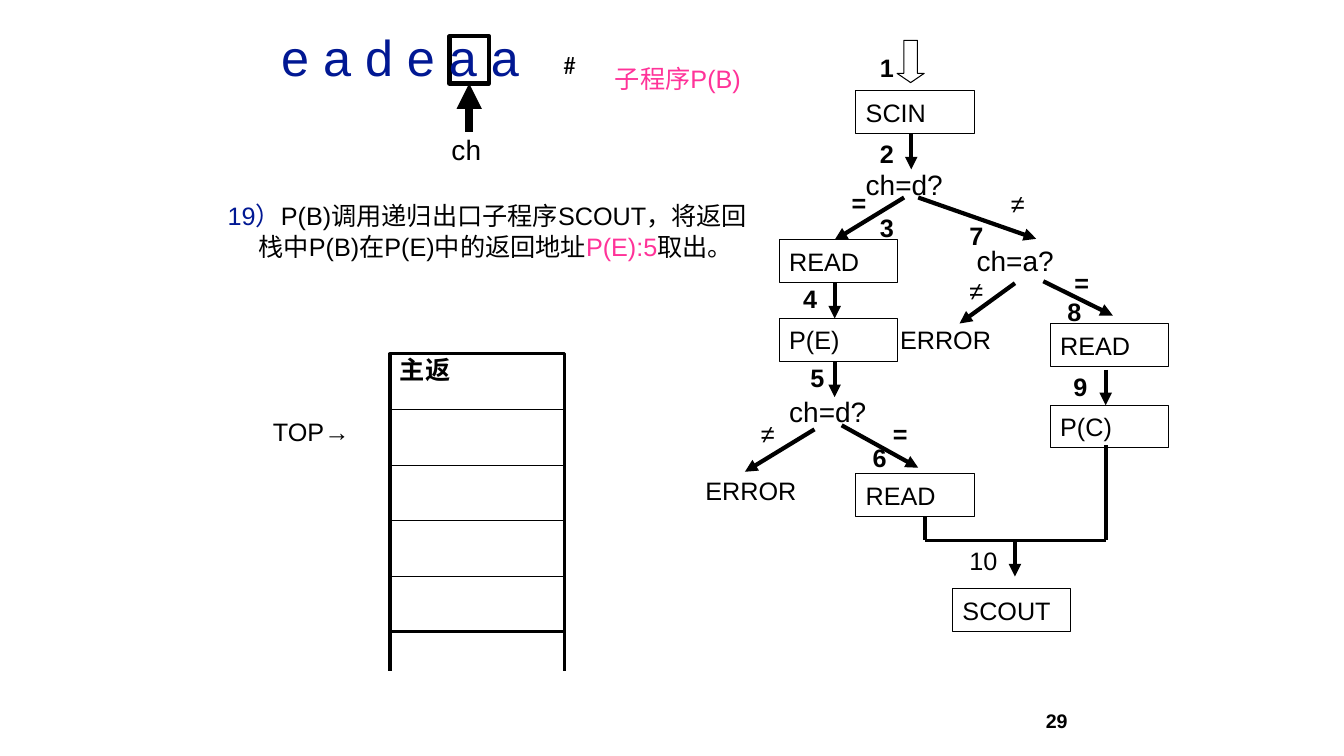
from lxml import etree
from pptx import Presentation
from pptx.dml.color import RGBColor
from pptx.enum.shapes import MSO_CONNECTOR, MSO_SHAPE
from pptx.enum.text import MSO_ANCHOR, MSO_AUTO_SIZE, PP_ALIGN
from pptx.oxml.ns import qn
from pptx.util import Pt

COLORS = {"ink": "000000", "navy": "011893", "pink": "FF3399"}
FONTS = {
    "plain": {"name": "Arial", "size": Pt(18), "bold": False},
    "bold": {"name": "Arial", "size": Pt(18), "bold": True},
    "test": {"name": "Arial", "size": Pt(20), "bold": False},
    "input": {"name": "Arial", "size": Pt(36), "bold": False},
    "mark": {"name": "Calibri", "size": Pt(18), "bold": False},
    "page": {"name": "Arial", "size": Pt(14), "bold": True},
}
FRAMES = {
    "top": {"vertical_anchor": MSO_ANCHOR.TOP},
    "middle": {"vertical_anchor": MSO_ANCHOR.MIDDLE},
    "cell": {"vertical_anchor": MSO_ANCHOR.TOP,
             "margin_top": Pt(0.72), "margin_bottom": Pt(0.72)},
}

HEADING = ("子程序P(B)", (432, 41.8, 228, 28.8))
STEP_AREA = (145.4, 139.7, 403.9, 93.6)
STEP = [
    (10, [("19）", "navy"), ("P(B)调用递归出口子程序SCOUT，将返回", "ink")]),
    (32, [("栈中P(B)在P(E)中的返回地址", "ink"), ("P(E):5", "pink"),
          ("取出。", "ink")]),
]
INPUT = ("e a d e a a", (193.7, 15.1, 200, 50.4))
CURRENT_CHAR = (321.1, 25.9, 28.1, 33.8)
POINTER_TAIL = 94.3
NOTES = [
    ("ch", (315.4, 91.4, 39.6, 31), "test"),
    ("TOP→", (187.9, 293.8, 85, 28.8), "plain"),
    ("#", (395.3, 31.7, 26, 28.8), "mark"),
]
PAGE = ("29", (675.4, 500.4, 94.3, 28.8))

STACK_TOP_CELL = "主返"
STACK = (278.6, 252.7, 124.6, 198.7)
STACK_CELLS = 5
WALL_TOP, WALL_BOTTOM = 423.4, 479.5

NODE_SIZE = (84.6, 30.6)
NODES = [
    ("SCIN", 611.3, 64.8), ("READ", 556.6, 171.4), ("P(E)", 556.6, 227.5),
    ("READ", 611.3, 338.4), ("READ", 750.2, 231.1), ("P(C)", 750.2, 289.4),
    ("SCOUT", 680.4, 420.5),
]
ERRORS = [("ERROR", 496.8, 334.8), ("ERROR", 635.8, 227.5)]
TESTS = [("ch=d?", 611.3, 115.9), ("ch=d?", 556.6, 278.6),
         ("ch=a?", 690.5, 170.6)]
STEP_NUMBERS = [
    ("1", 621.4, 33.8), ("2", 621.4, 95), ("3", 621.4, 148.3),
    ("4", 566.6, 198.7), ("5", 571.7, 255.6), ("6", 616.3, 312.5),
    ("7", 685.4, 154.1), ("8", 755.3, 208.1), ("9", 759.6, 261.4),
    ("=", 601.2, 130.3), ("=", 630.7, 295.2), ("=", 760.3, 187.2),
]
OTHER_LABELS = [("≠", 715, 131), ("≠", 536.4, 295.2), ("≠", 685.4, 193),
                ("10", 685.4, 385.9)]
ENTRY_ARROW = (640.8, 28.8, 19.4, 30.2)
FLOWS = [
    (650.9, 95.8, 650.9, 121), (645.8, 141.1, 596.2, 171.4),
    (655.9, 141.1, 740.2, 170.6), (596.2, 202.3, 596.2, 227.5),
    (596.2, 258.5, 596.2, 283.7), (581.8, 306.7, 532.1, 337),
    (601.2, 303.8, 655.9, 334.1), (725, 202.3, 685.4, 231.1),
    (745.2, 200.9, 794.9, 225.4), (789.8, 264.2, 789.8, 289.4),
    (725, 385.9, 725, 411.8),
]
JOIN = [((661, 369.4, 661, 385.9), 3), ((789.8, 318.2, 789.8, 385.9), 3),
        ((661, 385.9, 789.8, 385.9), 2.25)]


def color(name):
    return RGBColor.from_string(COLORS[name])


def apply(target, values):
    for attribute, value in values.items():
        setattr(target, attribute, value)


def place(shape, area):
    apply(shape, dict(zip(("left", "top", "width", "height"), map(Pt, area))))


def add_run(paragraph, words, font, ink):
    run = paragraph.add_run()
    run.text = words
    apply(run.font, FONTS[font])
    run.font.color.rgb = color(ink)


def write(shape, words, font="plain", ink="ink", frame="top",
          align=PP_ALIGN.LEFT):
    text = shape.text_frame
    apply(text, {"word_wrap": True, "auto_size": MSO_AUTO_SIZE.NONE})
    apply(text, FRAMES[frame])
    text.paragraphs[0].alignment = align
    add_run(text.paragraphs[0], words, font, ink)


def label(words, area, **style):
    write(slide.shapes.add_textbox(*map(Pt, area)), words, **style)


def outline(kind, area, weight):
    shape = slide.shapes.add_shape(kind, *map(Pt, area))
    shape.shadow.inherit = False
    shape.fill.background()
    shape.line.color.rgb = color("ink")
    shape.line.width = Pt(weight)
    return shape


def line(ends, weight, arrow=False):
    connector = slide.shapes.add_connector(MSO_CONNECTOR.STRAIGHT,
                                           *map(Pt, ends))
    connector.line.color.rgb = color("ink")
    connector.line.width = Pt(weight)
    if arrow:
        etree.SubElement(connector.line._get_or_add_ln(), qn("a:tailEnd"),
                         type="triangle")
    etree.SubElement(connector._element.spPr, qn("a:effectLst"))
    return connector


presentation = Presentation()
presentation.slide_width, presentation.slide_height = Pt(960), Pt(540)
slide = presentation.slides.add_slide(presentation.slide_layouts[1])

heading = slide.shapes.title
place(heading, HEADING[1])
write(heading, HEADING[0], ink="pink")

step = slide.placeholders[1]
place(step, STEP_AREA)
apply(step.text_frame, {"word_wrap": True, "auto_size": MSO_AUTO_SIZE.NONE})
for index, (indent, runs) in enumerate(STEP):
    sentence = (step.text_frame.add_paragraph() if index
                else step.text_frame.paragraphs[0])
    properties = sentence._p.get_or_add_pPr()
    properties.set("marL", "0")
    properties.set("indent", str(Pt(indent)))
    etree.SubElement(properties, qn("a:buNone"))
    sentence.space_before = Pt(0)
    for words, ink in runs:
        add_run(sentence, words, "plain", ink)

current_char = outline(MSO_SHAPE.RECTANGLE, CURRENT_CHAR, 3)
char_left, char_top, char_width, char_height = CURRENT_CHAR
char_middle = char_left + char_width / 2
pointer = line((char_middle, POINTER_TAIL, char_middle,
                char_top + char_height), 6, arrow=True)
pointer.end_connect(current_char, 2)
label(*INPUT, font="input", ink="navy")
for words, area, font in NOTES:
    label(words, area, font=font)
label(*PAGE, font="page", frame="middle", align=PP_ALIGN.RIGHT)

stack = outline(MSO_SHAPE.RECTANGLE, STACK, 2.25)
write(stack, STACK_TOP_CELL, font="bold", frame="cell")
stack_left, stack_top, stack_width, stack_height = STACK
stack_right = stack_left + stack_width
for wall in (stack_left, stack_right):
    line((wall, WALL_TOP, wall, WALL_BOTTOM), 2.25)
for cell in range(1, STACK_CELLS):
    divider = stack_top + cell * stack_height / STACK_CELLS
    line((stack_left, divider, stack_right, divider), 0.75)

entry = outline(MSO_SHAPE.DOWN_ARROW, ENTRY_ARROW, 0.75)
entry.adjustments[0], entry.adjustments[1] = 0.5, 0.34
for words, left, top in NODES:
    node = outline(MSO_SHAPE.RECTANGLE, (left, top, *NODE_SIZE), 0.75)
    write(node, words, frame="middle")
for words, left, top in ERRORS:
    label(words, (left, top, *NODE_SIZE), frame="middle")
for words, left, top in TESTS:
    label(words, (left, top, *NODE_SIZE), font="test")
for labels, font in ((STEP_NUMBERS, "bold"), (OTHER_LABELS, "plain")):
    for words, left, top in labels:
        label(words, (left, top, 6 + 15 * len(words), 28.8), font=font)
for ends in FLOWS:
    line(ends, 3, arrow=True)
for ends, weight in JOIN:
    line(ends, weight)

presentation.save("out.pptx")
